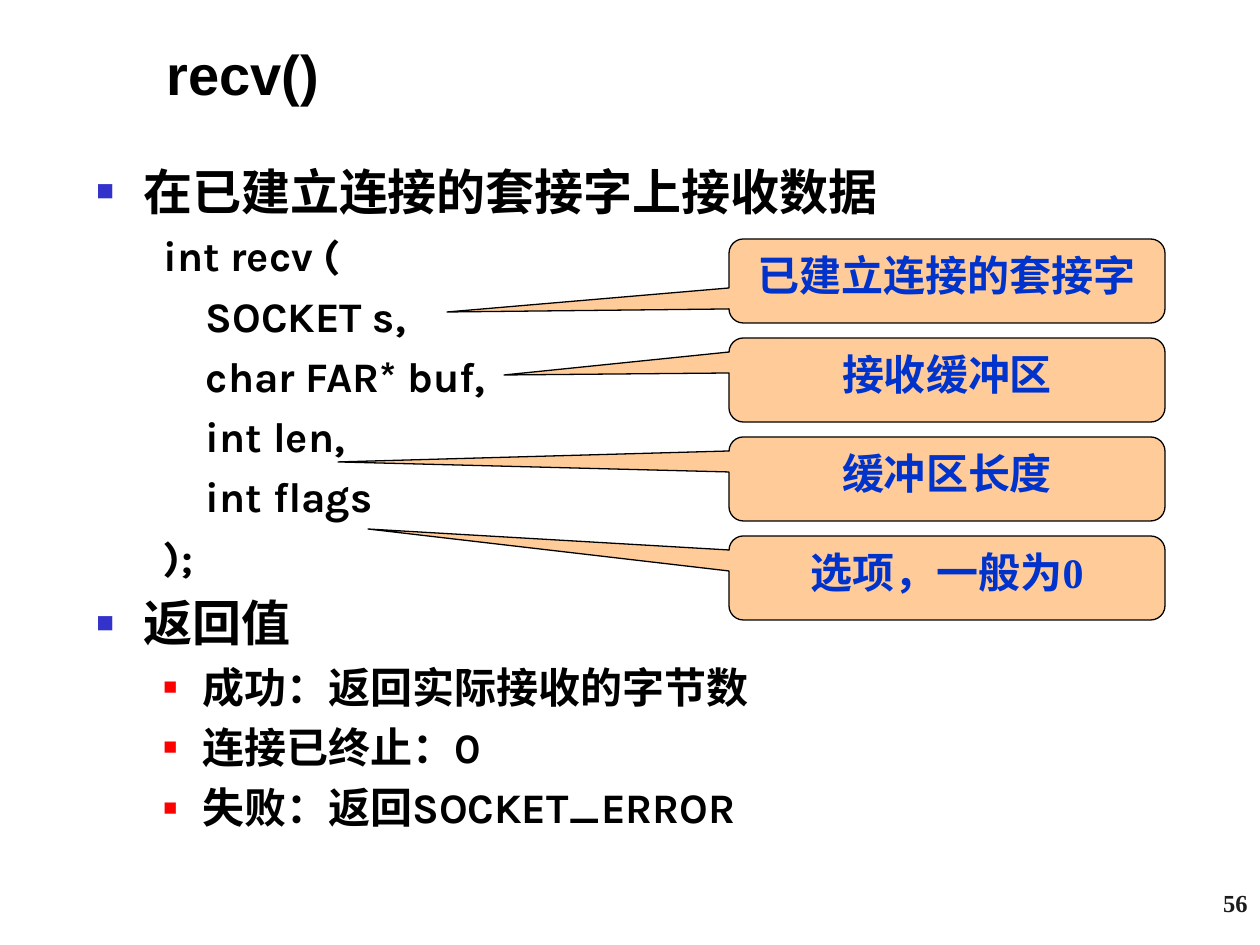
"""Build the recv() slide: signature, argument callouts and return values."""
from lxml import etree
from pptx import Presentation
from pptx.dml.color import RGBColor
from pptx.enum.shapes import MSO_SHAPE
from pptx.enum.text import MSO_ANCHOR, PP_ALIGN
from pptx.oxml.ns import qn
from pptx.util import Pt

CALLOUT = MSO_SHAPE.ROUNDED_RECTANGULAR_CALLOUT
TOP, MIDDLE = MSO_ANCHOR.TOP, MSO_ANCHOR.MIDDLE
LEFT, CENTER, RIGHT = PP_ALIGN.LEFT, PP_ALIGN.CENTER, PP_ALIGN.RIGHT
PX = 914400 / 126
COLORS = {
    "text": "000000",
    "topic_bullet": "3333CC",
    "detail_bullet": "FF0000",
    "callout": "FFCC99",
    "callout_text": "0033CC",
    "number": "1C1C1C",
}


def px(*lengths):
    return [round(length * PX) for length in lengths]


def style(para, font, size, color, align=LEFT):
    para.alignment = align
    for span in para.runs:
        span.font.name = font
        span.font.size = Pt(size)
        span.font.bold = True
        span.font.color.rgb = RGBColor.from_string(COLORS[color])


deck = Presentation()
deck.slide_width, deck.slide_height = px(1260, 945)
page = deck.slides.add_slide(deck.slide_layouts[6])

labels = [
    ("recv()", (154, 21, 987, 105), MIDDLE, "Arial", 32, "text", LEFT),
    ("56", (998, 882, 262, 63), TOP, "Times New Roman", 14, "number", RIGHT),
]
for text, place, anchor, font, size, color, align in labels:
    box = page.shapes.add_textbox(*px(*place))
    box.text_frame.word_wrap = True
    box.text_frame.vertical_anchor = anchor
    box.text_frame.text = text
    style(box.text_frame.paragraphs[0], font, size, color, align)

levels = {
    "topic": (0, 47, -47, 28, 6.5, 60),
    "code": (1, 106, -39, 24, 5.6, None),
    "detail": (1, 106, -39, 24, 5.6, 55),
}
lines = [
    ("topic", "在已建立连接的套接字上接收数据"),
    ("code", "int recv ("),
    ("code", "    SOCKET s,"),
    ("code", "    char FAR* buf,"),
    ("code", "    int len,"),
    ("code", "    int flags"),
    ("code", ");"),
    ("topic", "返回值"),
    ("detail", "成功：返回实际接收的字节数"),
    ("detail", "连接已终止：0"),
    ("detail", "失败：返回SOCKET_ERROR"),
]
body = page.shapes.add_textbox(*px(84, 155, 1018, 635)).text_frame
body.word_wrap = True
for index, (kind, text) in enumerate(lines):
    level, margin, indent, size, gap, bullet_size = levels[kind]
    para = body.add_paragraph() if index else body.paragraphs[0]
    para.text = text
    para.level = level
    if index:
        para.space_before = Pt(gap)
    properties = para._p.get_or_add_pPr()
    properties.set("marL", str(*px(margin)))
    properties.set("indent", str(*px(indent)))
    if bullet_size:
        bullet_color = etree.SubElement(properties, qn("a:buClr"))
        etree.SubElement(bullet_color, qn("a:srgbClr"), val=COLORS[f"{kind}_bullet"])
        etree.SubElement(properties, qn("a:buSzPct"), val=str(bullet_size * 1000))
        etree.SubElement(properties, qn("a:buFont"), typeface="Arial")
        etree.SubElement(properties, qn("a:buChar"), char="■")
    else:
        etree.SubElement(properties, qn("a:buNone"))
    style(para, "Karla", size, "text")

callouts = [
    ("已建立连接的套接字", 447, 312),
    ("接收缓冲区", 504, 375),
    ("缓冲区长度", 338, 462),
    ("选项，一般为0", 368, 529),
]
left, first_top, width, height, pitch = 729, 239, 436, 84, 99
for row, (text, tip_x, tip_y) in enumerate(callouts):
    top = first_top + row * pitch
    callout = page.shapes.add_shape(CALLOUT, *px(left, top, width, height))
    callout.shadow.inherit = False
    callout.adjustments[0] = (tip_x - left) / width - 0.5
    callout.adjustments[1] = (tip_y - top) / height - 0.5
    callout.adjustments[2] = 0.17
    callout.fill.solid()
    callout.fill.fore_color.rgb = RGBColor.from_string(COLORS["callout"])
    callout.line.color.rgb = RGBColor.from_string(COLORS["text"])
    callout.line.width = Pt(0.75)
    callout.text_frame.word_wrap = True
    callout.text_frame.vertical_anchor = TOP
    callout.text_frame.text = text
    style(callout.text_frame.paragraphs[0], "Times New Roman", 24, "callout_text", CENTER)

deck.save("out.pptx")
